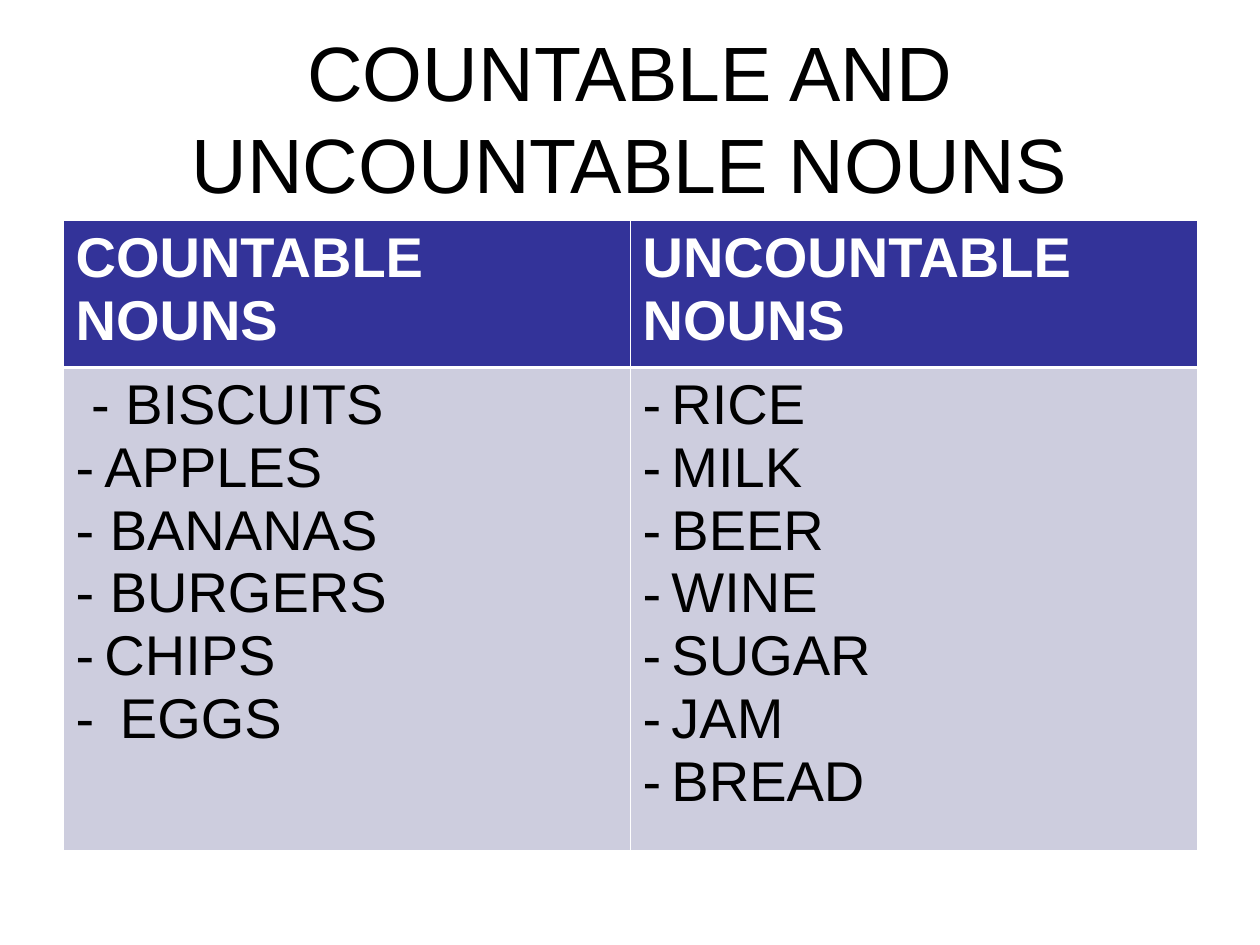
from dataclasses import dataclass

from lxml.etree import SubElement
from pptx import Presentation
from pptx.dml.color import RGBColor
from pptx.enum.text import MSO_ANCHOR, PP_ALIGN
from pptx.oxml.ns import qn
from pptx.util import Pt

COLORS = {"text": "000000", "header": "333399", "body": "CDCDDE", "white": "FFFFFF"}
FONT = "Arial"
THIN, THICK = 0.45, 1.47
BULLET_INDENT = 16.5


@dataclass
class Item:
    text: str
    bullet: bool = True


@dataclass
class Column:
    heading: str
    items: list[Item]


COLUMNS = [
    Column("COUNTABLE NOUNS", [
        Item(" - BISCUITS", False), Item("APPLES"), Item("- BANANAS", False),
        Item("- BURGERS", False), Item("CHIPS"), Item(" EGGS"),
    ]),
    Column("UNCOUNTABLE NOUNS", [
        Item(word) for word in
        ("RICE", "MILK", "BEER", "WINE", "SUGAR", "JAM", "BREAD")
    ]),
]


def style(p, size: float, color: str, bold: bool = False) -> None:
    for r in p.runs:
        r.font.name = FONT
        r.font.size = Pt(size)
        r.font.bold = bold
        r.font.color.rgb = RGBColor.from_string(COLORS[color])


def add_bullet(p) -> None:
    pPr = p._p.get_or_add_pPr()
    pPr.set("marL", str(Pt(BULLET_INDENT)))
    pPr.set("indent", str(-Pt(BULLET_INDENT)))
    SubElement(pPr, qn("a:buFont"), typeface=FONT)
    SubElement(pPr, qn("a:buChar"), char="-")


def format_cell(cell, fill: str, top: float, bottom: float) -> None:
    # Borders come before the fill in the cell properties
    tcPr = cell._tc.get_or_add_tcPr()
    for side, width in (("L", THIN), ("R", THIN), ("T", top), ("B", bottom)):
        ln = SubElement(tcPr, qn(f"a:ln{side}"), w=str(Pt(width)))
        line_fill = SubElement(ln, qn("a:solidFill"))
        SubElement(line_fill, qn("a:srgbClr"), val=COLORS["white"])
    cell.fill.solid()
    cell.fill.fore_color.rgb = RGBColor.from_string(COLORS[fill])


def fill_cell(cell, items: list[Item], color: str, bold: bool = False) -> None:
    tf = cell.text_frame
    tf.text = "\n".join(item.text for item in items)
    for p, item in zip(tf.paragraphs, items):
        if item.bullet:
            add_bullet(p)
        style(p, 32, color, bold)


def main() -> None:
    prs = Presentation()
    prs.slide_width, prs.slide_height = Pt(720), Pt(540)
    s = prs.slides.add_slide(prs.slide_layouts[5])

    # Title
    title = s.shapes.title
    title.left, title.top, title.width, title.height = Pt(36), Pt(21.6), Pt(648), Pt(90)
    tf = title.text_frame
    tf.text = "COUNTABLE AND UNCOUNTABLE NOUNS"
    tf.word_wrap = True
    tf.vertical_anchor = MSO_ANCHOR.MIDDLE
    tf.paragraphs[0].alignment = PP_ALIGN.CENTER
    style(tf.paragraphs[0], 44, "text")

    # Noun table
    table = s.shapes.add_table(2, len(COLUMNS), Pt(36), Pt(126), Pt(648), Pt(360)).table
    for row, height in zip(table.rows, (84, 276)):
        row.height = Pt(height)
    for i, column in enumerate(COLUMNS):
        head, body = table.cell(0, i), table.cell(1, i)
        format_cell(head, "header", THIN, THICK)
        fill_cell(head, [Item(column.heading, False)], "white", bold=True)
        format_cell(body, "body", THICK, THIN)
        fill_cell(body, column.items, "text")

    prs.save("out.pptx")


if __name__ == "__main__":
    main()
